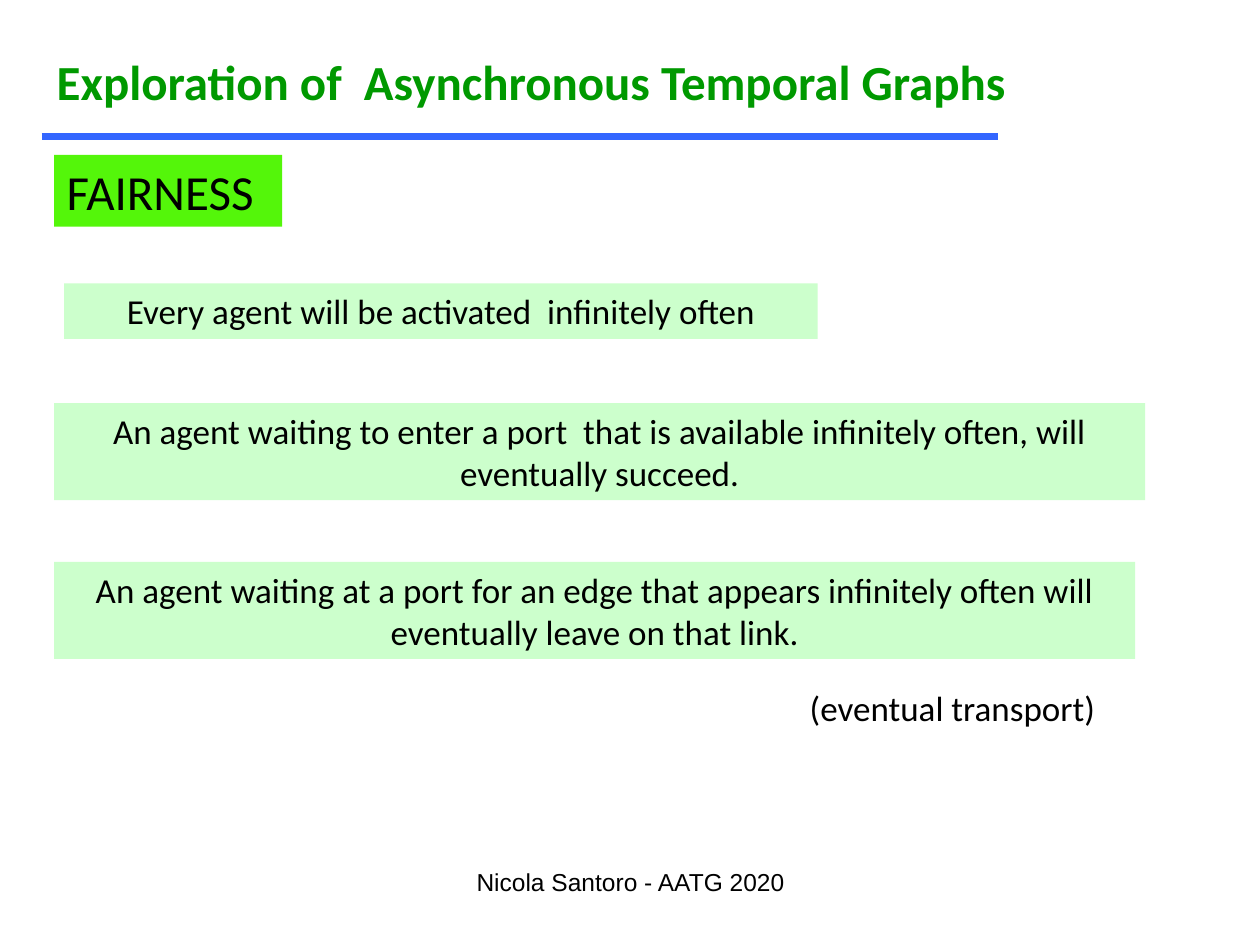
import pptx
import pptx.dml.color
import pptx.enum.shapes
import pptx.enum.text
import pptx.oxml
import pptx.util
from pptx.util import Inches

RGBColor = pptx.dml.color.RGBColor
BLACK = RGBColor(0x00, 0x00, 0x00)
TITLE_GREEN = RGBColor(0x00, 0x99, 0x00)
BRIGHT_GREEN = RGBColor(0x54, 0xF6, 0x0A)
PALE_GREEN = RGBColor(0xCC, 0xFF, 0xCC)
RULE_BLUE = RGBColor(0x33, 0x66, 0xFF)

LEFT = pptx.enum.text.PP_ALIGN.LEFT
CENTER = pptx.enum.text.PP_ALIGN.CENTER
TITLE_ONLY_LAYOUT = 5


class SlideBuilder:
    """Holds the text style and the slide being filled."""

    text_style = {"name": "Calibri", "size": pptx.util.Pt(20), "bold": False}

    def __init__(self, page):
        self.page = page

    def set_text(self, box, text, color=BLACK, align=CENTER, **style):
        frame = box.text_frame
        frame_format = {
            "word_wrap": True,
            "auto_size": pptx.enum.text.MSO_AUTO_SIZE.SHAPE_TO_FIT_TEXT,
            "vertical_anchor": pptx.enum.text.MSO_ANCHOR.TOP,
        }
        for name, value in frame_format.items():
            setattr(frame, name, value)
        para = frame.paragraphs[0]
        para.alignment = align
        span = para.add_run()
        span.text = text
        for name, value in {**self.text_style, **style}.items():
            setattr(span.font, name, value)
        span.font.color.rgb = color

    def title(self, text, left, top, width, height):
        box = self.page.shapes.title
        place = {"left": left, "top": top, "width": width, "height": height}
        for name, value in place.items():
            setattr(box, name, Inches(value))
        self.set_text(box, text, TITLE_GREEN, LEFT, size=pptx.util.Pt(28), bold=True)

    def label(self, text, left, top, width, height, **style):
        box = self.page.shapes.add_textbox(
            Inches(left), Inches(top), Inches(width), Inches(height))
        self.set_text(box, text, **style)

    def panel(self, text, left, top, width, height, fill=PALE_GREEN, **style):
        box = self.page.shapes.add_shape(
            pptx.enum.shapes.MSO_SHAPE.RECTANGLE,
            Inches(left), Inches(top), Inches(width), Inches(height))
        box.shadow.inherit = False
        box.fill.solid()
        box.fill.fore_color.rgb = fill
        box.line.fill.background()
        self.set_text(box, text, **style)

    def rule(self, left, right, top):
        line = self.page.shapes.add_connector(
            pptx.enum.shapes.MSO_CONNECTOR.STRAIGHT,
            Inches(left), Inches(top), Inches(right), Inches(top))
        line.line.color.rgb = RULE_BLUE
        line.line.width = pptx.util.Pt(4)
        properties = line._element.spPr
        properties.append(properties.makeelement(pptx.oxml.ns.qn("a:effectLst")))


def main():
    deck = pptx.Presentation()
    deck.slide_width, deck.slide_height = Inches(10), Inches(7.5)
    page = deck.slides.add_slide(deck.slide_layouts[TITLE_ONLY_LAYOUT])
    builder = SlideBuilder(page)

    builder.title("Exploration of  Asynchronous Temporal Graphs", 0.35, 0.36, 8.19, 0.57)
    builder.rule(0.33, 7.92, 1.08)
    builder.panel("FAIRNESS", 0.43, 1.23, 1.81, 0.57, BRIGHT_GREEN,
                  align=LEFT, size=pptx.util.Pt(28))

    conditions = [
        ("Every agent will be activated  infinitely often", 0.51, 2.25, 5.98, 0.44),
        ("An agent waiting to enter a port  that is available infinitely often, "
         "will eventually succeed.", 0.43, 3.2, 8.66, 0.77),
        ("An agent waiting at a port for an edge that appears infinitely often "
         "will eventually leave on that link.", 0.43, 4.46, 8.58, 0.77),
    ]
    for condition in conditions:
        builder.panel(*condition)

    builder.label("(eventual transport)", 6.18, 5.4, 2.76, 0.44)
    builder.label("Nicola Santoro - AATG 2020", 3.42, 6.83, 3.17, 0.5,
                  name="Arial", size=pptx.util.Pt(14))
    deck.save("out.pptx")


if __name__ == "__main__":
    main()
